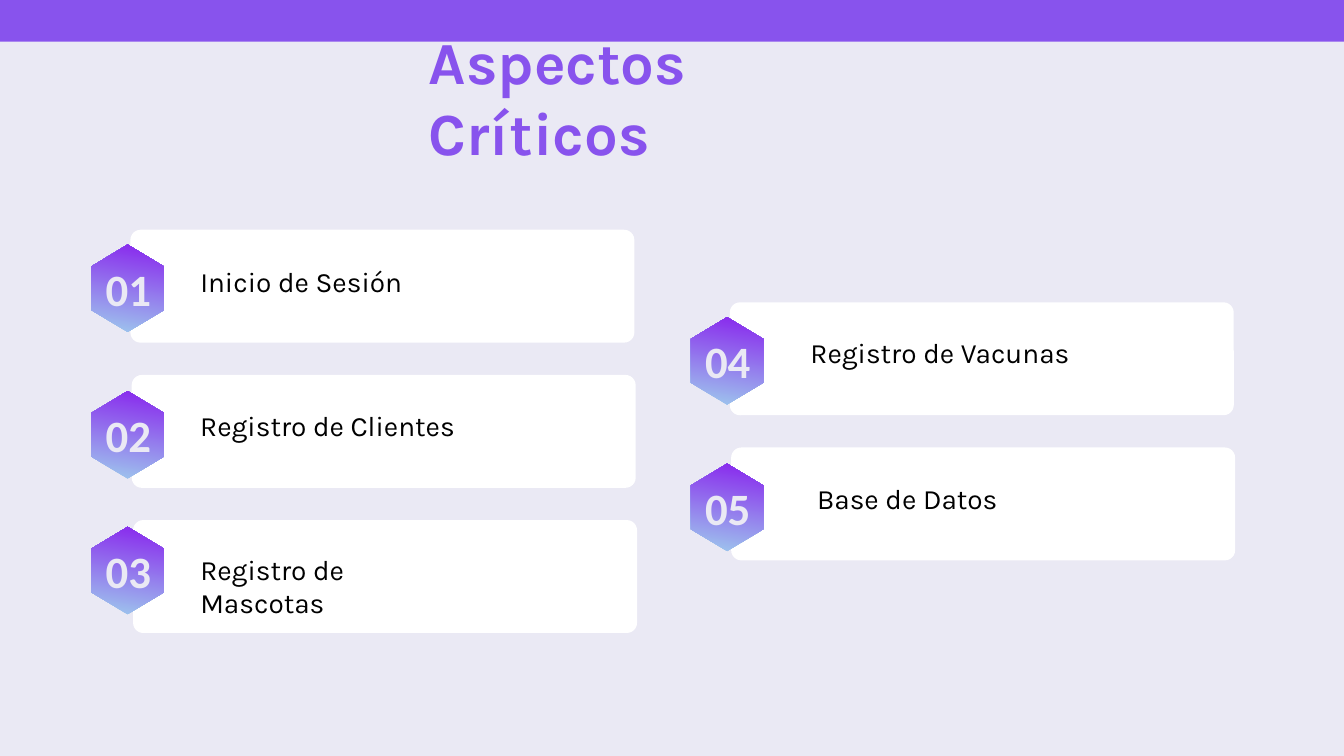
from pptx import Presentation
from pptx.dml.color import RGBColor
from pptx.enum.shapes import MSO_SHAPE
from pptx.enum.text import MSO_ANCHOR, MSO_AUTO_SIZE, PP_ALIGN
from pptx.util import Inches, Pt

RECT, ROUND = MSO_SHAPE.RECTANGLE, MSO_SHAPE.ROUNDED_RECTANGLE
TOP, MIDDLE, BOTTOM = MSO_ANCHOR.TOP, MSO_ANCHOR.MIDDLE, MSO_ANCHOR.BOTTOM
LEFT, CENTER = PP_ALIGN.LEFT, PP_ALIGN.CENTER

PURPLE, LAVENDER, WHITE, BLACK = "8853ED", "EAE9F4", "FFFFFF", "000000"
HEX_BOTTOM, HEX_TOP = "9ECAED", "8823ED"

TITLE = "Aspectos Críticos"
COLUMNS = [
    {"x": 0.68, "y": 1.71, "label_x": 1.49, "label_y": 1.97, "label_step": 1.07, "items": [
        ("Inicio de Sesión", 1.52, 0.11),
        ("Registro de Clientes", 2.16, 0.12),
        ("Registro de Mascotas", 2.02, 0.05)]},
    {"x": 5.14, "y": 2.25, "label_x": 6.03, "label_y": 2.5, "label_step": 1.08, "items": [
        ("Registro de Vacunas", 1.95, 0.11),
        (" Base de Datos", 1.95, 0.12)]},
]
CARD_W, CARD_H, CARD_DX, STEP = 3.75, 0.84, 0.29, 1.08
HEX_W, HEX_H = 0.54, 0.65
HEX_POINTS = [(1, 0.25), (0.5, 0), (0, 0.25), (0, 0.75), (0.5, 1), (1, 0.75)]


def rgb(color):
    return RGBColor.from_string(color)


def box(x, y, w, h):
    return [Inches(v) for v in (x, y, w, h)]


def add_block(s, kind, x, y, w, h, color):
    sp = s.shapes.add_shape(kind, *box(x, y, w, h))
    sp.shadow.inherit = False
    sp.fill.solid()
    sp.fill.fore_color.rgb = rgb(color)
    sp.line.fill.background()
    return sp


def add_hexagon(s, x, y):
    points = [(Inches(x + HEX_W * px), Inches(y + HEX_H * py)) for px, py in HEX_POINTS]
    fb = s.shapes.build_freeform(*points[0])
    fb.add_line_segments(points[1:], close=True)
    sp = fb.convert_to_shape()
    sp.shadow.inherit = False
    sp.line.fill.background()
    sp.fill.gradient()
    sp.fill.gradient_angle = 80
    for stop, color in zip(sp.fill.gradient_stops, (HEX_BOTTOM, HEX_TOP)):
        stop.color.rgb = rgb(color)


def write(sp, text, font, size, color, bold=False, align=LEFT, anchor=TOP):
    tf = sp.text_frame
    tf.text = text
    tf.word_wrap = True
    tf.auto_size = MSO_AUTO_SIZE.NONE
    tf.vertical_anchor = anchor
    tf.margin_left = tf.margin_right = tf.margin_top = tf.margin_bottom = 0
    p = tf.paragraphs[0]
    p.alignment = align
    f = p.runs[0].font
    f.name, f.size, f.bold = font, Pt(size), bold
    f.color.rgb = rgb(color)


def add_column(s, column, first):
    x = column["x"]
    for i, (label, label_w, hex_dy) in enumerate(column["items"]):
        y = column["y"] + i * STEP
        card = add_block(s, ROUND, x + CARD_DX + i * 0.01, y, CARD_W, CARD_H, WHITE)
        card.adjustments[0] = 0.09
        add_hexagon(s, x, y + hex_dy)
        number = s.shapes.add_textbox(*box(x + 0.04, y + hex_dy + 0.11, 0.47, 0.43))
        write(number, f"{first + i:02d}", "Calibri", 24, LAVENDER, True, CENTER, MIDDLE)
        label_y = column["label_y"] + i * column["label_step"]
        text = s.shapes.add_textbox(*box(column["label_x"], label_y, label_w, 0.34))
        write(text, label, "Karla", 15, BLACK)


def main():
    """Build the critical aspects slide."""
    prs = Presentation()
    prs.slide_width = Inches(10)
    prs.slide_height = prs.slide_width * 9 // 16
    s = prs.slides.add_slide(prs.slide_layouts[5])
    s.background.fill.solid()
    s.background.fill.fore_color.rgb = rgb(LAVENDER)
    add_block(s, RECT, 0, 0, 10, 0.31, PURPLE)

    title = s.shapes.title
    title.left, title.top, title.width, title.height = box(3.19, 0.43, 3.43, 0.82)
    write(title, TITLE, "Karla", 32, PURPLE, True, LEFT, BOTTOM)

    first = 1
    for column in COLUMNS:
        add_column(s, column, first)
        first += len(column["items"])
    prs.save("out.pptx")


if __name__ == "__main__":
    main()
